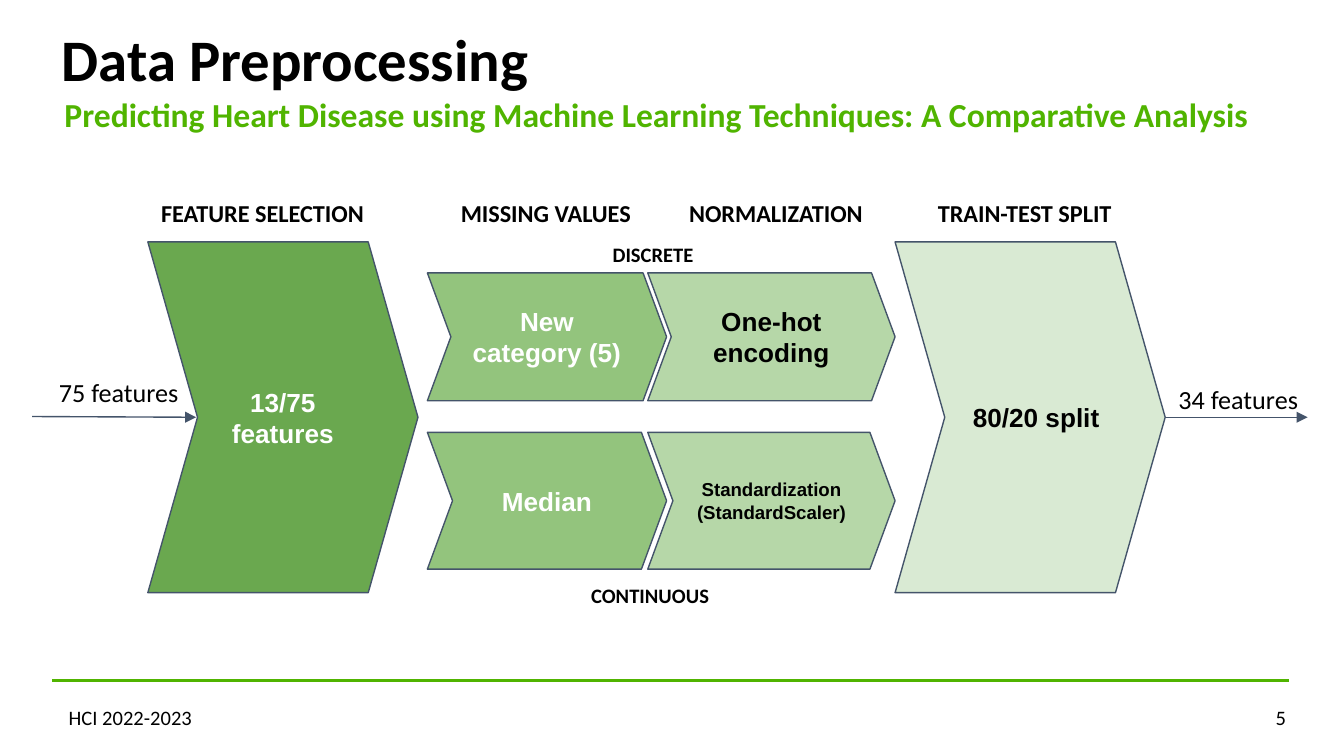
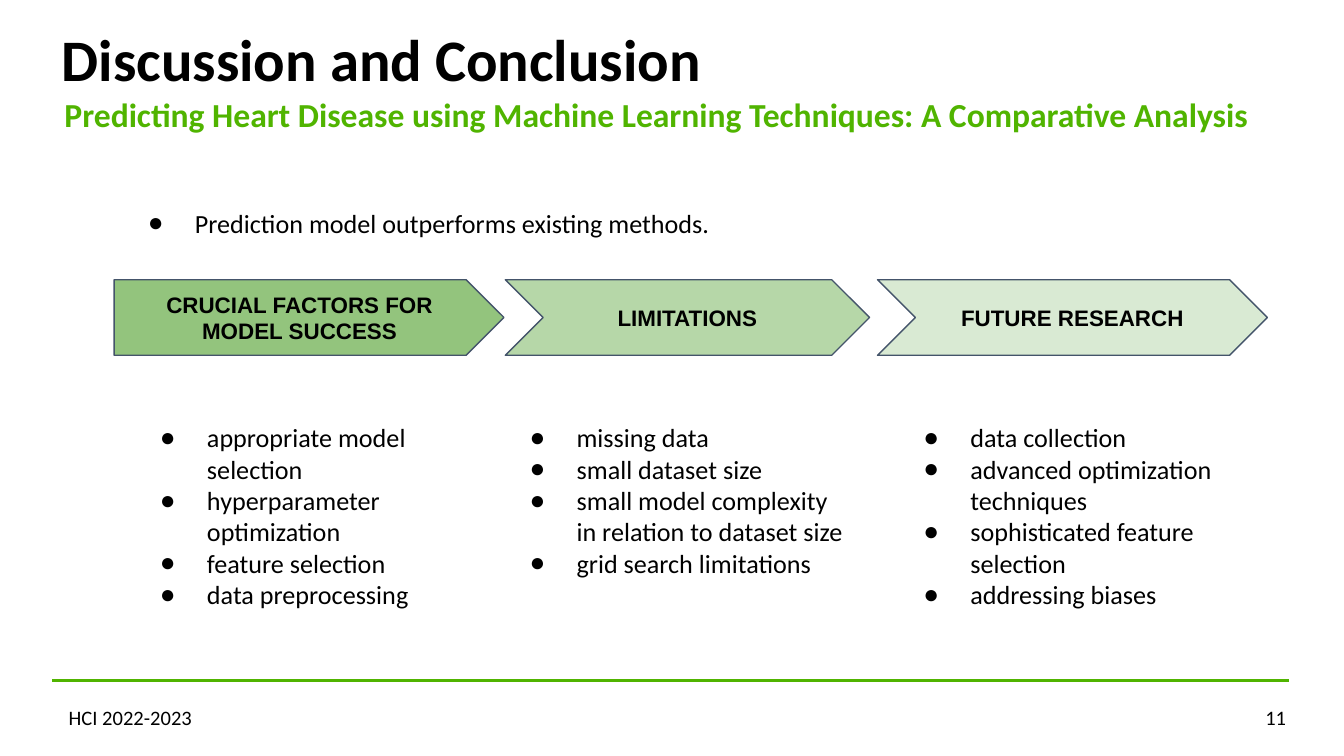
"""Build the preprocessing and conclusion slides of the heart disease deck."""
import dataclasses

import lxml.etree
import pptx
import pptx.dml.color
import pptx.enum.shapes
import pptx.enum.text
import pptx.oxml.ns
import pptx.util


@dataclasses.dataclass(frozen=True)
class Theme:
    black: str = "000000"
    white: str = "FFFFFF"
    accent: str = "50B400"
    outline: str = "44546A"
    greens: tuple = ("6AA84F", "93C47D", "B6D7A8", "D9EAD3")
    text_font: str = "Calibri"
    arrow_font: str = "Arial"
    title: float = 31.5
    subtitle: float = 18
    body: float = 14
    heading: float = 13
    step: float = 12
    small: float = 11
    tiny: float = 10
    hairline: float = 0.75
    rule: float = 1.5


theme = Theme()
rgb = pptx.dml.color.RGBColor.from_string
qn = pptx.oxml.ns.qn
Pt = pptx.util.Pt
ALIGN = pptx.enum.text.PP_ALIGN
ANCHOR = pptx.enum.text.MSO_ANCHOR
SHAPE = pptx.enum.shapes.MSO_SHAPE

deck = pptx.Presentation()
deck.slide_width = pptx.util.Inches(10)
deck.slide_height = pptx.util.Inches(5.625)
column = deck.slide_width / 100
row = deck.slide_height / 100


def grid(x, y, *size):
    """Turn columns and rows of a 100 by 100 grid into slide lengths."""
    return [round(n * unit) for n, unit in zip((x, y, *size), (column, row) * 2)]


def write(shape, text, size=theme.body, bold=False, color=theme.black, font=theme.text_font,
          align=ALIGN.LEFT, anchor=ANCHOR.TOP, inset=(7.2, 7.2), spacing=1.0,
          indent=0, hanging=0, bullet=None):
    """Fill a shape with formatted text, one paragraph a line."""
    frame = shape.text_frame
    frame.text = text
    frame.word_wrap = True
    frame.auto_size = pptx.enum.text.MSO_AUTO_SIZE.NONE
    frame.vertical_anchor = anchor
    frame.margin_left = frame.margin_right = Pt(inset[0])
    frame.margin_top = frame.margin_bottom = Pt(inset[1])
    for paragraph in frame.paragraphs:
        properties = paragraph._p.get_or_add_pPr()
        properties.set("marL", str(round(indent * column)))
        properties.set("indent", str(round(-hanging * column)))
        if bullet:
            tint = lxml.etree.SubElement(properties, qn("a:buClr"))
            lxml.etree.SubElement(tint, qn("a:srgbClr"), val=color)
            lxml.etree.SubElement(properties, qn("a:buChar"), char=bullet)
        paragraph.alignment = align
        paragraph.line_spacing = spacing
        paragraph.space_before = paragraph.space_after = Pt(0)
        for run in paragraph.runs:
            run.font.name = font
            run.font.size = Pt(size)
            run.font.bold = bold
            run.font.color.rgb = rgb(color)


preprocessing = deck.slides.add_slide(deck.slide_layouts.get_by_name("Title Only"))
conclusion = deck.slides.add_slide(deck.slide_layouts.get_by_name("Comparison"))

labels = []
lines = []
edge = (5.04, 2.88)
for slide, title, number in [(preprocessing, "Data Preprocessing", "5"),
                             (conclusion, "Discussion and Conclusion", "11")]:
    heading = slide.shapes.title
    heading.left, heading.top, heading.width, heading.height = grid(3.9, 4.8, 92.1, 8)
    write(heading, title, size=theme.title, bold=True, anchor=ANCHOR.BOTTOM,
          inset=edge, spacing=0.7)
    labels += [
        (slide, (4.8, 12.4, 91.3, 11.7),
         "Predicting Heart Disease using Machine Learning Techniques: A Comparative Analysis",
         dict(size=theme.subtitle, bold=True, color=theme.accent, inset=(0, 0))),
        (slide, (4.4, 92.6, 27.1, 4.4), "HCI 2022-2023", dict(size=theme.small, inset=edge)),
        (slide, (90.4, 92.6, 6, 4.4), number,
         dict(size=theme.small, inset=edge, align=ALIGN.RIGHT)),
    ]
    lines.append((slide, (3.9, 90), (95.9, 90), theme.accent, theme.rule, None))

dark, medium, light, pale = theme.greens
stage_top, stage_height = 32, 46.4
stage_middle = stage_top + stage_height / 2
discrete, continuous = (36.1, 16.9), (57.2, 18.1)
banner = (37, 10)
on_dark = dict(color=theme.white)
step = dict(size=theme.step)
steps = [
    (preprocessing, 11, 20.1, (stage_top, stage_height), 0.184, dark, "13/75 features", on_dark),
    (preprocessing, 31.8, 17.8, discrete, 0.184, medium, "New\ncategory (5)", on_dark),
    (preprocessing, 48.2, 18.4, discrete, 0.184, light, "One-hot encoding", {}),
    (preprocessing, 31.8, 17.8, continuous, 0.184, medium, "Median", on_dark),
    (preprocessing, 48.2, 18.4, continuous, 0.184, light, "Standardization\n(StandardScaler)",
     dict(size=theme.tiny)),
    (preprocessing, 66.6, 20.1, (stage_top, stage_height), 0.184, pale, "80/20 split",
     dict(align=ALIGN.LEFT, indent=1.1)),
    (conclusion, 8.5, 29, banner, 0.5, medium, "CRUCIAL FACTORS FOR MODEL SUCCESS", step),
    (conclusion, 37.6, 27.1, banner, 0.5, light, "LIMITATIONS", step),
    (conclusion, 65.3, 29, banner, 0.5, pale, "FUTURE RESEARCH", step),
]
arrows = {}
for slide, left, width, (top, height), point, fill, text, style in steps:
    outline = SHAPE.PENTAGON if text.startswith("CRUCIAL") else SHAPE.CHEVRON
    arrow = slide.shapes.add_shape(outline, *grid(left, top, width, height))
    arrow.adjustments[0] = point
    arrow.shadow.inherit = False
    arrow.fill.solid()
    arrow.fill.fore_color.rgb = rgb(fill)
    arrow.line.color.rgb = rgb(theme.outline)
    arrow.line.width = Pt(theme.hairline)
    write(arrow, text, **{"bold": True, "font": theme.arrow_font, "align": ALIGN.CENTER,
                          "anchor": ANCHOR.MIDDLE, **style})
    arrows[text] = arrow

for left, width, text in [(11, 17.8, "FEATURE SELECTION"), (33.3, 14.8, "MISSING VALUES"),
                          (50.3, 16.3, "NORMALIZATION"), (68.8, 16.7, "TRAIN-TEST SPLIT")]:
    labels.append((preprocessing, (left, 24.4, width, 7.5), text,
                   dict(size=theme.heading, bold=True)))
kind = dict(size=theme.small, bold=True)
labels += [
    (preprocessing, (44.6, 30.2, 8.4, 6.9), "DISCRETE", kind),
    (preprocessing, (43, 75.4, 11.7, 6.9), "CONTINUOUS", kind),
    (preprocessing, (3.4, 48, 11.7, 7.8), "75 features", {}),
    (preprocessing, (86.7, 48.9, 11.7, 7.8), "34 features", {}),
]
for slide, area, text, style in labels:
    write(slide.shapes.add_textbox(*grid(*area)), text, **style)

lines += [
    (preprocessing, (2.4, 55.1), (14.6, stage_middle), theme.outline, theme.hairline, None),
    (preprocessing, (86.7, stage_middle), (97.3, stage_middle), theme.outline, theme.hairline,
     arrows["80/20 split"]),
]
for slide, start, end, color, weight, source in lines:
    line = slide.shapes.add_connector(pptx.enum.shapes.MSO_CONNECTOR.STRAIGHT,
                                      *grid(*start), *grid(*end))
    if source:
        line.begin_connect(source, 3)
    line.line.color.rgb = rgb(color)
    line.line.width = Pt(weight)
    drawing = line._element.spPr
    if color == theme.outline:
        lxml.etree.SubElement(drawing.find(qn("a:ln")), qn("a:tailEnd"), type="triangle")
    lxml.etree.SubElement(drawing, qn("a:effectLst"))

lists = [
    ((8.5, 25.6, 68.7, 7.8), ["Prediction model outperforms existing methods."]),
    ((9.4, 54, 27.1, 28.8), ["appropriate model selection", "hyperparameter optimization",
                             "feature selection", "data preprocessing"]),
    ((36.9, 54, 27.1, 24.5), ["missing data", "small dataset size",
                              "small model complexity in relation to dataset size",
                              "grid search limitations"]),
    ((66.2, 54, 27.1, 28.8), ["data collection", "advanced optimization techniques",
                              "sophisticated feature selection", "addressing biases"]),
]
for index, (area, points) in enumerate(lists, start=1):
    findings = conclusion.placeholders[index]
    findings.left, findings.top, findings.width, findings.height = grid(*area)
    write(findings, "\n".join(points), indent=5, hanging=3.5, bullet="●")

deck.save("out.pptx")
